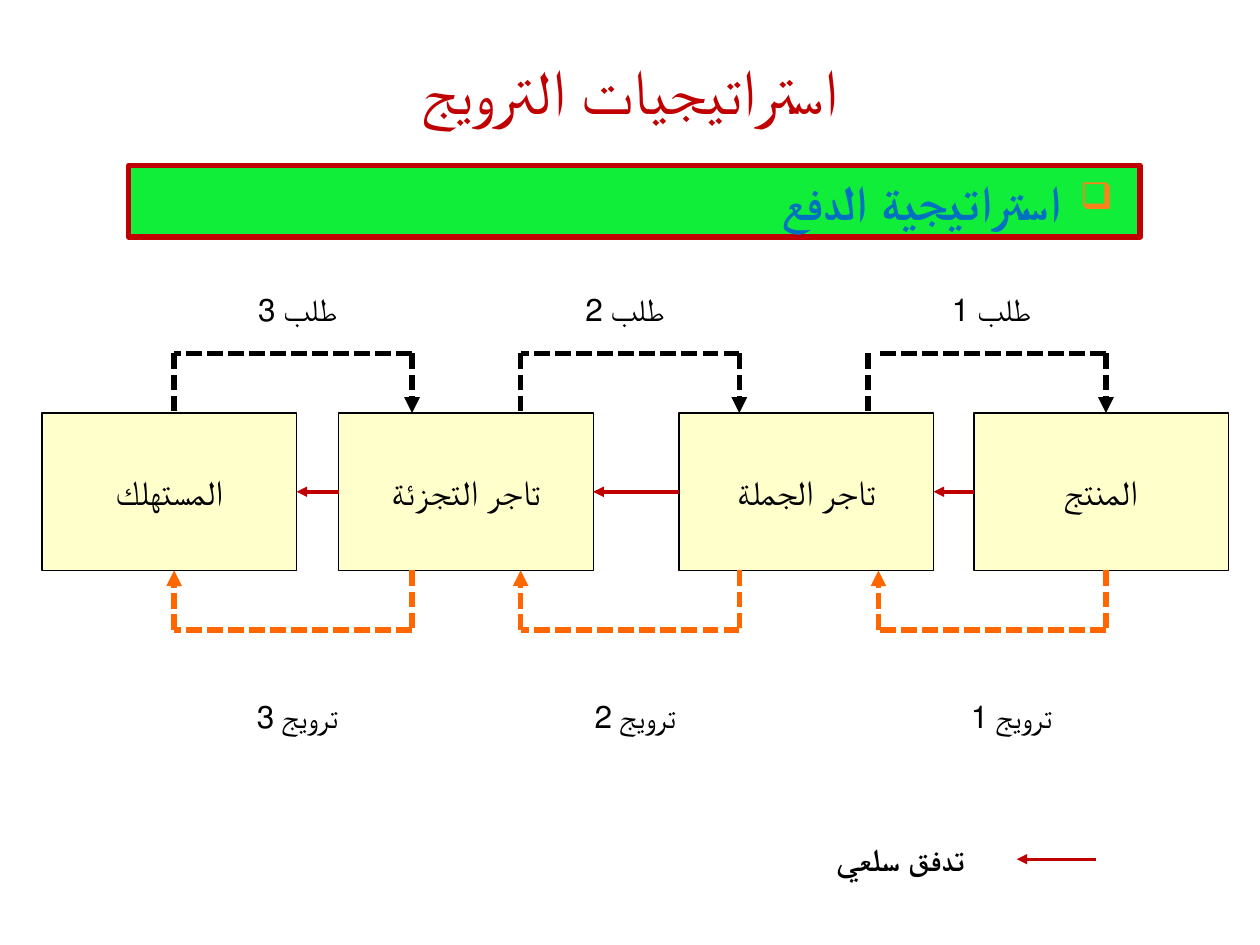
from lxml import etree
from pptx import Presentation
from pptx import util as u
from pptx.dml.color import RGBColor
from pptx.enum import shapes, text
from pptx.oxml import ns

COLORS = {
    "red": "C00000", "orange": "FF6600", "black": "000000", "cream": "FFFFCC",
    "green": "10EE3A", "blue": "0070C0", "bullet": "FF8119",
}
TITLE = "استراتيجيات الترويج"
STRATEGY = "استراتيجية الدفع"
LEGEND = "تدفق سلعي"
DEMAND, PROMOTION = "طلب", "ترويج"

PARTIES = [
    ("المنتج", 556.5),
    ("تاجر الجملة", 388),
    ("تاجر التجزئة", 193.5),
    ("المستهلك", 24),
]
LOOPS = [
    {"left": 502, "right": 632, "demand_stub": 496, "demand_label": 524, "promotion_label": 535.5},
    {"left": 297.5, "right": 422.5, "demand_stub": 297.5, "demand_label": 314.5, "promotion_label": 320.5},
    {"left": 99.5, "right": 235.5, "demand_stub": 99.5, "demand_label": 127.5, "promotion_label": 127.5},
]
BOX_TOP, BOX_WIDTH, BOX_HEIGHT = 236, 145.5, 90
BOX_BOTTOM = BOX_TOP + BOX_HEIGHT
RAIL_GAP = 34
LABEL_WIDTH, LABEL_HEIGHT = 85, 29
DEMAND_LABEL_TOP, PROMOTION_LABEL_TOP = 162, 394.5

presentation = Presentation()
presentation.slide_width, presentation.slide_height = u.Pt(720), u.Pt(540)
slide = presentation.slides.add_slide(presentation.slide_layouts[6])


def rgb(name):
    return RGBColor.from_string(COLORS[name])


def add_element(parent, tag, **attributes):
    return etree.SubElement(parent, ns.qn(tag), attributes)


def write(shape, content, size, color="black", font="Arial", bold=False,
          align=text.PP_ALIGN.CENTER, rtl=True):
    paragraph = shape.text_frame.paragraphs[0]
    paragraph.alignment = align
    if rtl:
        paragraph._p.get_or_add_pPr().set("rtl", "1")
    run = paragraph.add_run()
    run.text = content
    run.font.size, run.font.name, run.font.bold = u.Pt(size), font, bold
    run.font.color.rgb = rgb(color)
    return paragraph


def add_label(content, left, top, width, height, size=18, **style):
    shape = slide.shapes.add_textbox(u.Pt(left), u.Pt(top), u.Pt(width), u.Pt(height))
    shape.text_frame.word_wrap = True
    write(shape, content, size, **style)


def add_box(left, top, width, height, fill, line, weight):
    shape = slide.shapes.add_shape(
        shapes.MSO_SHAPE.RECTANGLE, u.Pt(left), u.Pt(top), u.Pt(width), u.Pt(height))
    shape.shadow.inherit = False
    shape.fill.solid()
    shape.fill.fore_color.rgb = rgb(fill)
    shape.line.color.rgb = rgb(line)
    shape.line.width = u.Pt(weight)
    return shape


def add_line(start, end, color, weight=3, dashed=True, arrow=False):
    connector = slide.shapes.add_connector(
        shapes.MSO_CONNECTOR.STRAIGHT, *(u.Pt(value) for value in (*start, *end)))
    connector.line.color.rgb = rgb(color)
    connector.line.width = u.Pt(weight)
    outline = connector.line._get_or_add_ln()
    if dashed:
        add_element(outline, "a:prstDash", val="sysDash")
    if arrow:
        add_element(outline, "a:tailEnd", type="triangle")
    add_element(connector._element.spPr, "a:effectLst")
    return connector


boxes = []
for name, left in PARTIES:
    box = add_box(left, BOX_TOP, BOX_WIDTH, BOX_HEIGHT, "cream", "black", 0.75)
    box.text_frame.word_wrap = False
    box.text_frame.vertical_anchor = text.MSO_ANCHOR.MIDDLE
    write(box, name, 20, rtl=False)
    boxes.append(box)

middle = BOX_TOP + BOX_HEIGHT / 2
for index in range(len(boxes) - 1):
    start, end = PARTIES[index][1], PARTIES[index + 1][1] + BOX_WIDTH
    flow = add_line((start, middle), (end, middle), "red", 2, dashed=False, arrow=True)
    flow.begin_connect(boxes[index], 1)
    flow.end_connect(boxes[index + 1], 3)

demand_rail, promotion_rail = BOX_TOP - RAIL_GAP, BOX_BOTTOM + RAIL_GAP
for number, loop in enumerate(LOOPS, 1):
    left, right, stub = loop["left"], loop["right"], loop["demand_stub"]
    add_line((stub, demand_rail), (stub, BOX_TOP), "black")
    add_line((right, demand_rail), (left, demand_rail), "black")
    add_line((right, demand_rail), (right, BOX_TOP), "black", arrow=True)
    add_line((right, BOX_BOTTOM), (right, promotion_rail), "orange")
    add_line((right, promotion_rail), (left, promotion_rail), "orange")
    add_line((left, promotion_rail), (left, BOX_BOTTOM), "orange", arrow=True)
    add_label(f"{DEMAND} {number}", loop["demand_label"], DEMAND_LABEL_TOP, LABEL_WIDTH, LABEL_HEIGHT)
    add_label(f"{PROMOTION} {number}", loop["promotion_label"], PROMOTION_LABEL_TOP,
              LABEL_WIDTH, LABEL_HEIGHT)

add_line((626.5, 491), (581, 491), "red", 1.75, dashed=False, arrow=True)
add_label(LEGEND, 455, 476.5, 119, LABEL_HEIGHT, bold=True)
add_label(TITLE, 54, 26, 612, 50.5, size=36, color="red")

banner = add_box(73.5, 94.5, 578, 41, "green", "red", 3)
banner.text_frame.word_wrap = True
banner.text_frame.vertical_anchor = text.MSO_ANCHOR.TOP
heading = write(banner, STRATEGY, 28, "blue", "Lato", True, text.PP_ALIGN.RIGHT)
properties = heading._p.get_or_add_pPr()
properties.set("marR", "0")
properties.set("marL", str(u.Pt(38.5)))
properties.set("indent", str(u.Pt(-30)))
add_element(add_element(properties, "a:buClr"), "a:srgbClr", val=COLORS["bullet"])
add_element(properties, "a:buSzPct", val="75000")
add_element(properties, "a:buChar", char="❑")

presentation.save("out.pptx")
